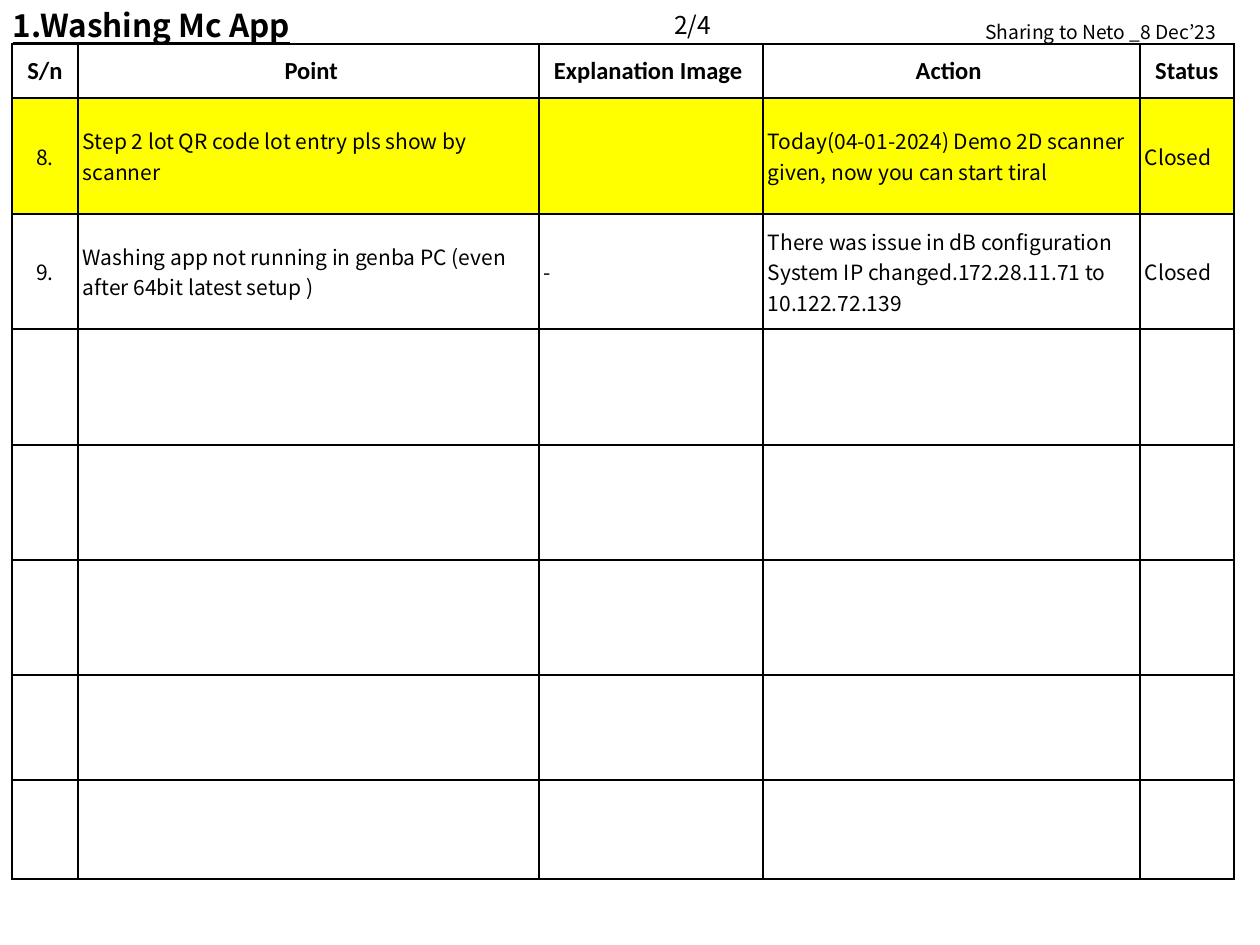
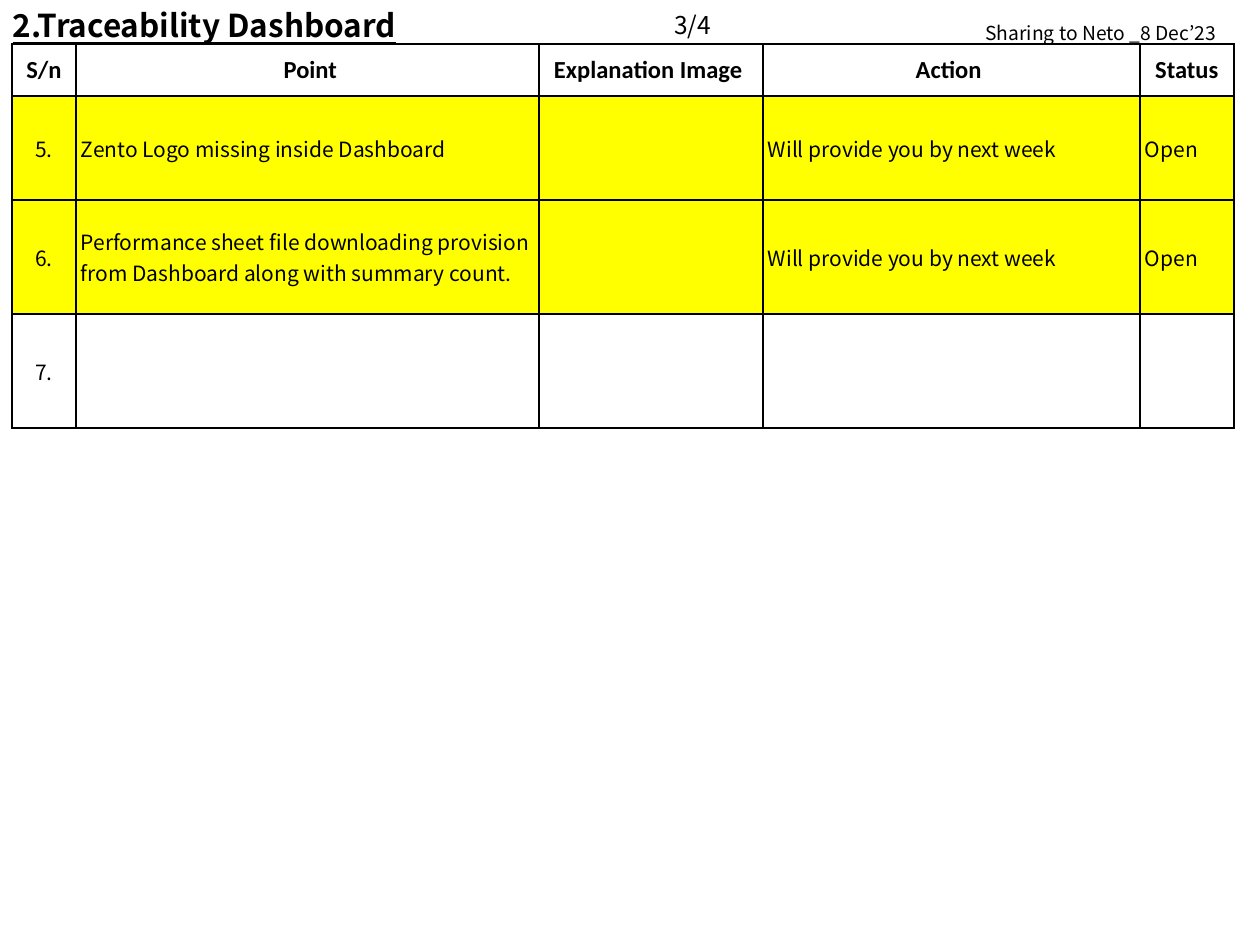
"""Build the two open-point tables for the washing and traceability apps."""
import lxml.etree
import pptx
import pptx.dml.color
import pptx.enum.text
import pptx.oxml.ns
import pptx.util

BLACK = pptx.dml.color.RGBColor(0x00, 0x00, 0x00)
WHITE = pptx.dml.color.RGBColor(0xFF, 0xFF, 0xFF)
YELLOW = pptx.dml.color.RGBColor(0xFF, 0xFF, 0x00)
BODY_FONT = "Noto Sans CJK JP"
HEADER_FONT = "Calibri"
ALIGN = pptx.enum.text.PP_ALIGN

HEADERS = ["S/n", " Point", "Explanation Image ", "Action ", "Status"]
SHARING_NOTE = "Sharing to Neto _8 Dec’23"
BLANK_ROW = ("", "", "", "", "")

SLIDES = [
    {
        "title": "1.Washing Mc App",
        "title_width": 335,
        "page": "2/4",
        "note_top": 14,
        "columns": [66, 461, 224, 377, 94],
        "row_heights": [54, 116, 115, 116, 115, 115, 105, 99],
        "highlighted": {"8."},
        "points": [
            ("8.", "Step 2 lot QR code lot entry pls show by scanner", "",
             "Today(04-01-2024) Demo 2D scanner given, now you can start tiral",
             "Closed"),
            ("9.", "Washing app not running in genba PC "
             "(even after 64bit latest setup )", "-",
             "There was issue in dB configuration System IP "
             "changed.172.28.11.71 to 10.122.72.139", "Closed"),
        ] + [BLANK_ROW] * 5,
    },
    {
        "title": "2.Traceability Dashboard",
        "title_width": 444,
        "page": "3/4",
        "note_top": 15,
        "columns": [64, 463, 224, 377, 94],
        "row_heights": [52, 104, 114, 114],
        "highlighted": {"5.", "6."},
        "points": [
            ("5.", "Zento Logo missing inside Dashboard", "",
             "Will provide you by next week", "Open"),
            ("6.", "Performance sheet file downloading provision from "
             "Dashboard along with summary count.", "",
             "Will provide you by next week", "Open"),
            ("7.", "", "", "", ""),
        ],
    },
]

SLIDE_SIZE = (1260, 945)
TABLE_LEFT, TABLE_TOP = 12, 44
CELL_INSET = 5


def px(length):
    return pptx.util.Emu(round(length * 914400 / 126))


def write(text_frame, text, size, font=BODY_FONT, bold=False,
          underline=False, align=ALIGN.LEFT):
    text_frame.text = text
    paragraph = text_frame.paragraphs[0]
    paragraph.alignment = align
    for run in paragraph.runs:
        run.font.name = font
        run.font.size = pptx.util.Pt(size)
        run.font.bold = bold
        run.font.underline = underline
        run.font.color.rgb = BLACK


def fit_label(shape, text, size, **style):
    text_frame = shape.text_frame
    write(text_frame, text, size, **style)
    text_frame.word_wrap = False
    text_frame.auto_size = pptx.enum.text.MSO_AUTO_SIZE.SHAPE_TO_FIT_TEXT
    text_frame.vertical_anchor = pptx.enum.text.MSO_ANCHOR.TOP


def add_label(slide, box, text, size):
    fit_label(slide.shapes.add_textbox(*map(px, box)), text, size)


def add_title(slide, text, width):
    title = slide.shapes.title
    title.left, title.top, title.width, title.height = map(
        px, (0, 0, width, 50))
    fit_label(title, text, 18, bold=True, underline=True)


def add_borders(cell):
    properties = cell._tc.get_or_add_tcPr()
    qn = pptx.oxml.ns.qn
    for side in ("a:lnL", "a:lnR", "a:lnT", "a:lnB"):
        line = lxml.etree.SubElement(
            properties, qn(side), w=str(pptx.util.Pt(1)))
        fill = lxml.etree.SubElement(line, qn("a:solidFill"))
        lxml.etree.SubElement(fill, qn("a:srgbClr"), val=str(BLACK))


def format_cell(cell, color):
    add_borders(cell)
    cell.fill.solid()
    cell.fill.fore_color.rgb = color
    cell.vertical_anchor = pptx.enum.text.MSO_ANCHOR.MIDDLE


def add_point_table(slide, content):
    columns, heights = content["columns"], content["row_heights"]
    table = slide.shapes.add_table(
        len(heights), len(columns), px(TABLE_LEFT), px(TABLE_TOP),
        px(sum(columns)), px(sum(heights))).table
    table.first_row = table.horz_banding = False
    for column, width in zip(table.columns, columns):
        column.width = px(width)
    for row, height in zip(table.rows, heights):
        row.height = px(height)

    for cell, text in zip(table.rows[0].cells, HEADERS):
        format_cell(cell, WHITE)
        write(cell.text_frame, text, 14, font=HEADER_FONT, bold=True,
              align=ALIGN.CENTER)

    for row_index, point in enumerate(content["points"], start=1):
        color = YELLOW if point[0] in content["highlighted"] else WHITE
        for column_index, text in enumerate(point):
            cell = table.cell(row_index, column_index)
            format_cell(cell, color)
            cell.margin_left = cell.margin_right = px(CELL_INSET)
            cell.margin_top = cell.margin_bottom = px(CELL_INSET)
            write(cell.text_frame, text, 12,
                  align=ALIGN.LEFT if column_index else ALIGN.CENTER)


def main():
    presentation = pptx.Presentation()
    presentation.slide_width, presentation.slide_height = map(px, SLIDE_SIZE)
    title_only = presentation.slide_layouts.get_by_name("Title Only")
    for content in SLIDES:
        slide = presentation.slides.add_slide(title_only)
        add_title(slide, content["title"], content["title_width"])
        add_point_table(slide, content)
        add_label(slide, (973, content["note_top"], 275, 37), SHARING_NOTE, 11)
        add_label(slide, (662, 4, 67, 43), content["page"], 14)
    presentation.save("out.pptx")


if __name__ == "__main__":
    main()
